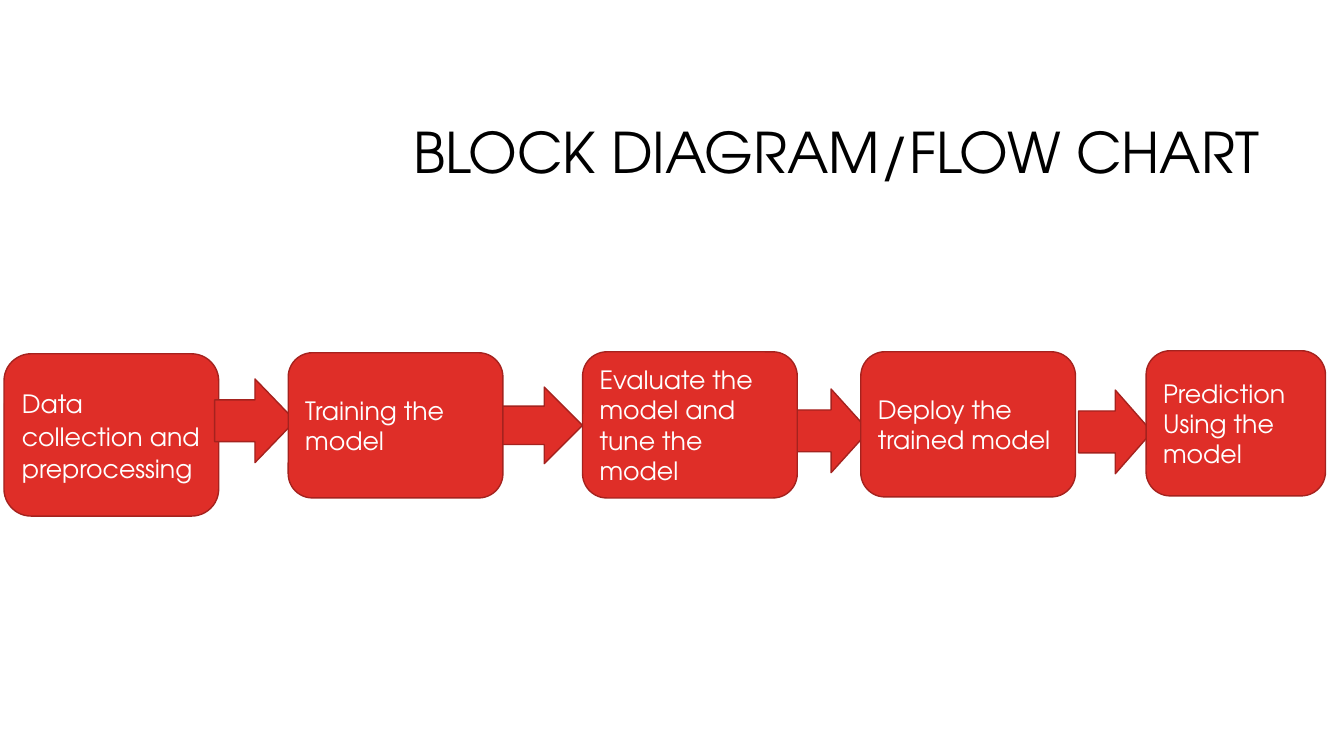
"""Build a slide with a five-step machine learning flow chart."""
from pptx import Presentation
from pptx.dml.color import RGBColor
from pptx.enum import shapes, text
from pptx.util import Pt

TITLE = "BLOCK DIAGRAM/FLOW CHART"
TITLE_BOX = (228.24, 60.48, 678.24, 101.52)
STEPS = [
    ("Data collection and preprocessing", (2.88, 252.72, 153.36, 115.92)),
    ("Training the model", (205.92, 252, 153.36, 103.68)),
    ("Evaluate the model and tune the model", (416.16, 251.28, 153.36, 104.4)),
    ("Deploy the trained model", (614.88, 251.28, 153.36, 103.68)),
    ("Prediction Using the model", (818.64, 250.56, 128.16, 103.68)),
]
ARROWS = [
    (153.36, 270.72, 57.6, 59.76),
    (358.56, 276.48, 57.6, 54.72),
    (566.64, 277.92, 54, 59.76),
    (770.4, 278.64, 52.56, 59.76),
]
FONT = "TeX Gyre Adventor"
RED = RGBColor(0xDF, 0x2E, 0x28)
DARK_RED = RGBColor(0xA5, 0x22, 0x1E)
WHITE = RGBColor(0xFF, 0xFF, 0xFF)
BLACK = RGBColor(0, 0, 0)


def write(sp, words, size, color, align):
    tf = sp.text_frame
    tf.word_wrap = True
    tf.vertical_anchor = text.MSO_ANCHOR.MIDDLE
    p = tf.paragraphs[0]
    p.text = words
    p.alignment = align
    p.font.name = FONT
    p.font.size = Pt(size)
    p.font.color.rgb = color
    return p


def add_red_shape(slide, kind, box):
    sp = slide.shapes.add_shape(kind, *map(Pt, box))
    sp.shadow.inherit = False
    sp.fill.solid()
    sp.fill.fore_color.rgb = RED
    sp.line.color.rgb = DARK_RED
    sp.line.width = Pt(1)
    return sp


def add_step(slide, words, box):
    sp = add_red_shape(slide, shapes.MSO_SHAPE.ROUNDED_RECTANGLE, box)
    return write(sp, words, 18, WHITE, text.PP_ALIGN.LEFT)


def main():
    prs = Presentation()
    prs.slide_width, prs.slide_height = Pt(960), Pt(540)
    slide = prs.slides.add_slide(prs.slide_layouts[6])

    title = slide.shapes.add_textbox(*map(Pt, TITLE_BOX))
    p = write(title, TITLE, 40, BLACK, text.PP_ALIGN.RIGHT)
    p.line_spacing = 0.9

    first, *later = STEPS
    p = add_step(slide, *first)
    p.line_spacing = 1.07
    p.space_after = Pt(8)
    for box in ARROWS:
        add_red_shape(slide, shapes.MSO_SHAPE.RIGHT_ARROW, box)
    for step in later:
        add_step(slide, *step)

    prs.save("out.pptx")


if __name__ == "__main__":
    main()
